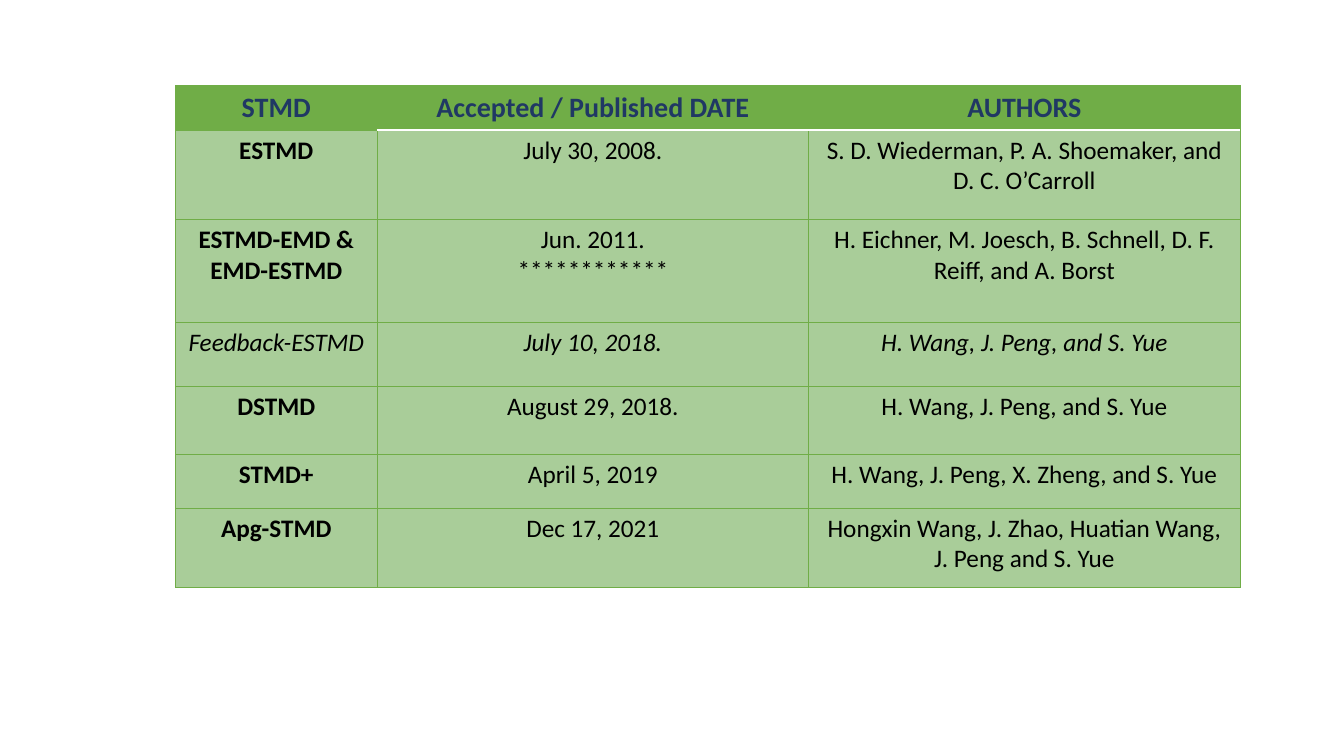
from lxml.etree import SubElement
from pptx import Presentation
from pptx.dml.color import RGBColor
from pptx.enum.text import PP_ALIGN
from pptx.oxml.ns import qn
from pptx.util import Inches, Pt

GREEN = RGBColor(0x70, 0xAD, 0x47)
PALE_GREEN = RGBColor(0xA9, 0xCD, 0x99)
NAVY = RGBColor(0x20, 0x38, 0x64)
BLACK = RGBColor(0, 0, 0)
WHITE = RGBColor(0xFF, 0xFF, 0xFF)

COL_WIDTHS = [2, 4.28, 4.28]
ROW_HEIGHTS = [0.44, 0.89, 1.02, 0.63, 0.68, 0.53, 0.79]
ROWS = [
    ("STMD", "Accepted / Published DATE", "AUTHORS"),
    ("ESTMD", "July 30, 2008.", "S. D. Wiederman, P. A. Shoemaker, and D. C. O’Carroll"),
    ("ESTMD-EMD & EMD-ESTMD", "Jun. 2011.\n************",
     "H. Eichner, M. Joesch, B. Schnell, D. F. Reiff, and A. Borst"),
    ("Feedback-ESTMD", "July 10, 2018.", "H. Wang, J. Peng, and S. Yue"),
    ("DSTMD", "August 29, 2018.", "H. Wang, J. Peng, and S. Yue"),
    ("STMD+", "April 5, 2019", "H. Wang, J. Peng, X. Zheng, and S. Yue"),
    ("Apg-STMD", "Dec 17, 2021", "Hongxin Wang, J. Zhao, Huatian Wang, J. Peng and S. Yue"),
]
ITALIC_ROW = 3


def set_borders(cell, borders):
    """Draw each side (L, R, T, B) with its (colour, points)."""
    tcPr = cell._tc.get_or_add_tcPr()
    for side in "LRTB":
        color, width = borders[side]
        ln = SubElement(tcPr, qn(f"a:ln{side}"), w=str(Pt(width)))
        SubElement(SubElement(ln, qn("a:solidFill")), qn("a:srgbClr"), val=str(color))


def style_cell(cell, row, col):
    header = row == 0
    borders = dict.fromkeys("LRTB", (GREEN, 0.5))
    if col > 0 and row < 2:
        borders["B" if header else "T"] = (WHITE, 1)
    set_borders(cell, borders)
    cell.fill.solid()
    cell.fill.fore_color.rgb = GREEN if header else PALE_GREEN


def write_cell(cell, text, row, col):
    header, italic = row == 0, row == ITALIC_ROW
    tf = cell.text_frame
    for i, line in enumerate(text.split("\n")):
        p = tf.add_paragraph() if i else tf.paragraphs[0]
        p.alignment = PP_ALIGN.CENTER
        r = p.add_run()
        r.text = line
        r.font.name = "Calibri"
        r.font.size = Pt(20 if header else 18)
        r.font.bold = header or (col == 0 and not italic)
        r.font.italic = italic
        r.font.color.rgb = NAVY if header else BLACK


def add_model_table(s, left, top, width, height):
    table = s.shapes.add_table(len(ROWS), len(COL_WIDTHS), Inches(left), Inches(top),
                               Inches(width), Inches(height)).table
    for column, w in zip(table.columns, COL_WIDTHS):
        column.width = Inches(w)
    for table_row, h in zip(table.rows, ROW_HEIGHTS):
        table_row.height = Inches(h)
    for row, texts in enumerate(ROWS):
        for col, text in enumerate(texts):
            cell = table.cell(row, col)
            style_cell(cell, row, col)
            write_cell(cell, text, row, col)


def main():
    prs = Presentation()
    prs.slide_width, prs.slide_height = Inches(13.33), Inches(7.5)
    s = prs.slides.add_slide(prs.slide_layouts[6])
    add_model_table(s, 1.74, 0.85, sum(COL_WIDTHS), sum(ROW_HEIGHTS))
    prs.save("out.pptx")


if __name__ == "__main__":
    main()
